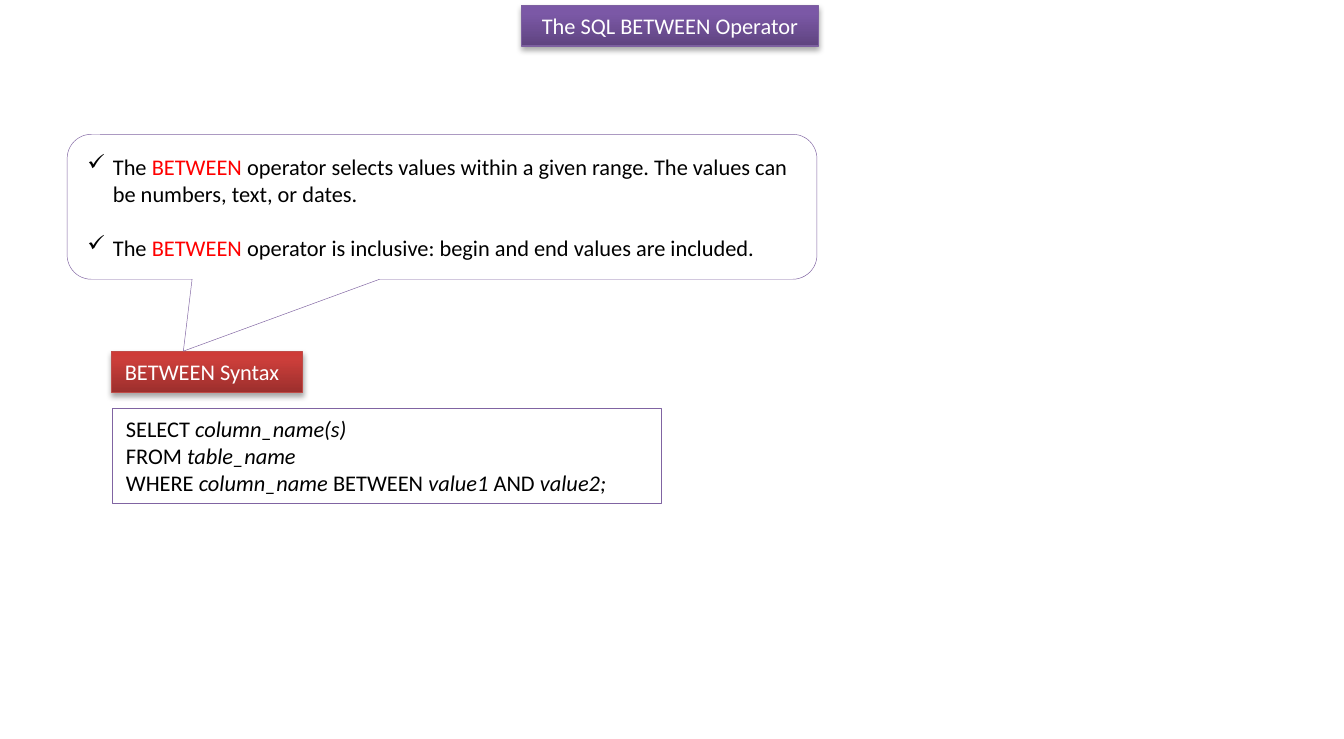
from copy import deepcopy

from lxml import etree
from pptx import Presentation
from pptx.dml.color import RGBColor
from pptx.enum.shapes import MSO_SHAPE
from pptx.enum.text import MSO_ANCHOR, MSO_AUTO_SIZE, PP_ALIGN
from pptx.oxml.ns import qn
from pptx.util import Cm, Pt

RECTANGLE = MSO_SHAPE.RECTANGLE
CALLOUT = MSO_SHAPE.ROUNDED_RECTANGULAR_CALLOUT
TOP, MIDDLE = MSO_ANCHOR.TOP, MSO_ANCHOR.MIDDLE
LEFT, CENTER = PP_ALIGN.LEFT, PP_ALIGN.CENTER
GROW = MSO_AUTO_SIZE.SHAPE_TO_FIT_TEXT

BLACK, WHITE, RED, PURPLE = "000000", "FFFFFF", "FF0000", "8064A2"
color = RGBColor.from_string


def add_text(paragraph, text, text_color=BLACK, italic=False):
    run = paragraph.add_run()
    run.text = text
    run.font.name = "Calibri"
    run.font.size = Pt(12)
    run.font.italic = italic
    run.font.color.rgb = color(text_color)


def add_box(kind, left, top, width, height, line_color=PURPLE, line_width=0.25, anchor=TOP):
    shape = slide.shapes.add_shape(kind, Cm(left), Cm(top), Cm(width), Cm(height))
    shape.shadow.inherit = False
    shape.fill.solid()
    shape.fill.fore_color.rgb = color(WHITE)
    shape.line.color.rgb = color(line_color)
    shape.line.width = Pt(line_width)
    shape.text_frame.word_wrap = True
    shape.text_frame.vertical_anchor = anchor
    shape.text_frame.paragraphs[0].alignment = LEFT
    return shape


presentation = Presentation()
presentation.slide_width = Cm(25.4)
presentation.slide_height = Cm(13.97)
slide = presentation.slides.add_slide(presentation.slide_layouts[6])

# Syntax box: plain keywords alternate with italic names
syntax = add_box(RECTANGLE, 2.13, 7.72, 10.36, 1.8)
syntax.text_frame.auto_size = GROW
paragraph = syntax.text_frame.paragraphs[0]
syntax_lines = [
    ["SELECT ", "column_name(s)"],
    ["FROM ", "table_name"],
    ["WHERE ", "column_name ", "BETWEEN ", "value1", " AND ", "value2;"],
]
for line_number, parts in enumerate(syntax_lines):
    if line_number:
        paragraph.add_line_break()
    for position, part in enumerate(parts):
        add_text(paragraph, part, italic=position % 2 == 1)

# Title and syntax headings: gradient from bottom to top, soft shadow
headings = [
    ("The SQL BETWEEN Operator", 9.86, 0.1, 5.61, CENTER, "7D60A0",
     ["5F4480", "7B58A6", "7C57A8"]),
    ("BETWEEN Syntax", 2.11, 6.65, 3.61, LEFT, "BF4C48",
     ["9C2F2D", "CB3E3A", "CE3B37"]),
]
for text, left, top, width, alignment, line_color, stop_colors in headings:
    heading = add_box(RECTANGLE, left, top, width, 0.77, line_color, 0.75)
    heading.text_frame.auto_size = GROW
    heading.text_frame.paragraphs[0].alignment = alignment
    add_text(heading.text_frame.paragraphs[0], text, text_color=WHITE)

    heading.fill.gradient()
    heading.fill.gradient_angle = 90
    properties = heading.element.spPr
    stop_list = properties.find(".//" + qn("a:gsLst"))
    stop_list.append(deepcopy(stop_list[0]))
    for stop, stop_color, place in zip(heading.fill.gradient_stops, stop_colors, [0, 0.8, 1]):
        stop.color.rgb = color(stop_color)
        stop.position = place

    shadow = etree.SubElement(properties.find(qn("a:effectLst")), qn("a:outerShdw"),
                              blurRad=str(Pt(3.1)), dist=str(Pt(1.8)),
                              dir="5400000", rotWithShape="0")
    shadow_color = etree.SubElement(shadow, qn("a:srgbClr"), val=BLACK)
    etree.SubElement(shadow_color, qn("a:alpha"), val="35000")

# Callout with check-marked statements
callout = add_box(CALLOUT, 1.27, 2.54, 14.17, 2.74, anchor=MIDDLE)
for index, value in enumerate([-0.345, 0.996, 0.167]):
    callout.adjustments[index] = value
statements = [
    " operator selects values within a given range. The values can be numbers, text, or dates.",
    " operator is inclusive: begin and end values are included.",
]
for index, statement in enumerate(statements):
    frame = callout.text_frame
    paragraph = frame.add_paragraph() if index else frame.paragraphs[0]
    paragraph.alignment = LEFT
    if index:
        paragraph.space_before = Pt(14.6)
    paragraph_properties = paragraph._p.get_or_add_pPr()
    paragraph_properties.set("marL", str(Cm(0.48)))
    paragraph_properties.set("indent", str(Cm(-0.48)))
    etree.SubElement(paragraph_properties, qn("a:buChar"), char="✓")
    add_text(paragraph, "The ")
    add_text(paragraph, "BETWEEN", text_color=RED)
    add_text(paragraph, statement)

presentation.save("out.pptx")
